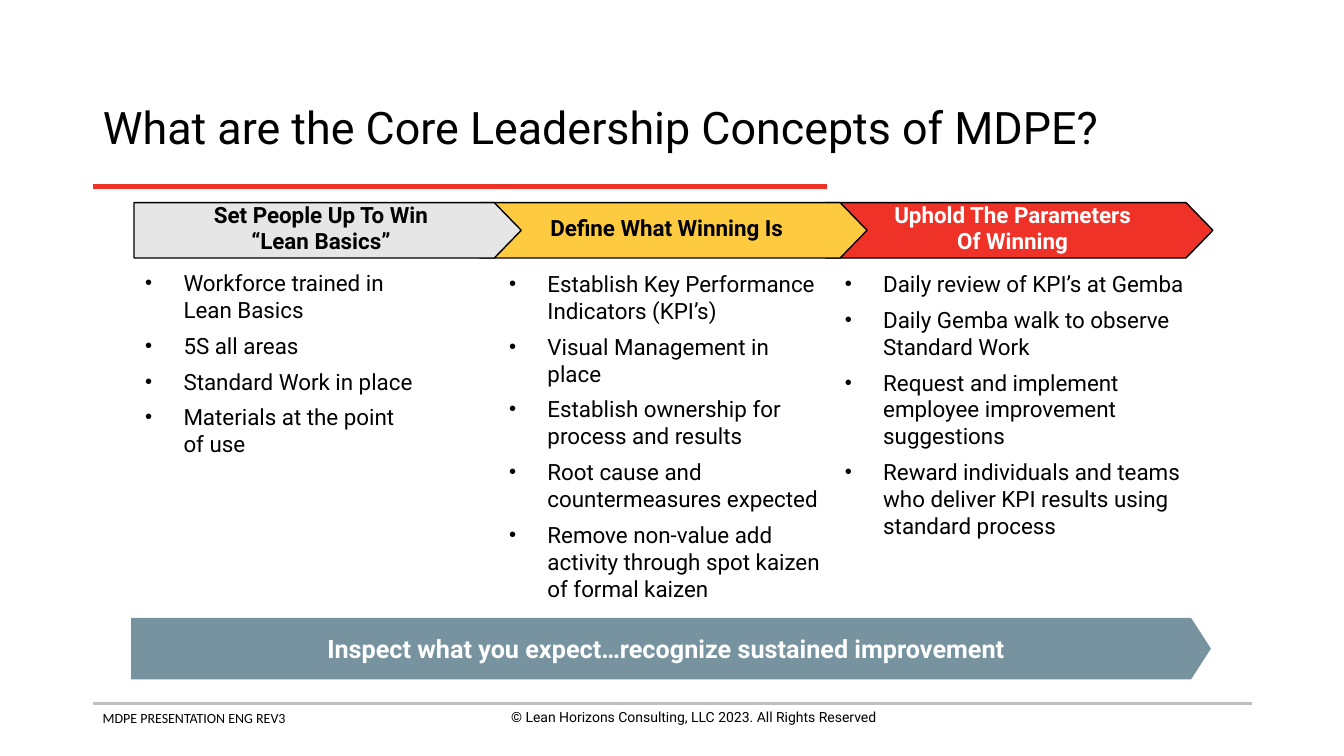
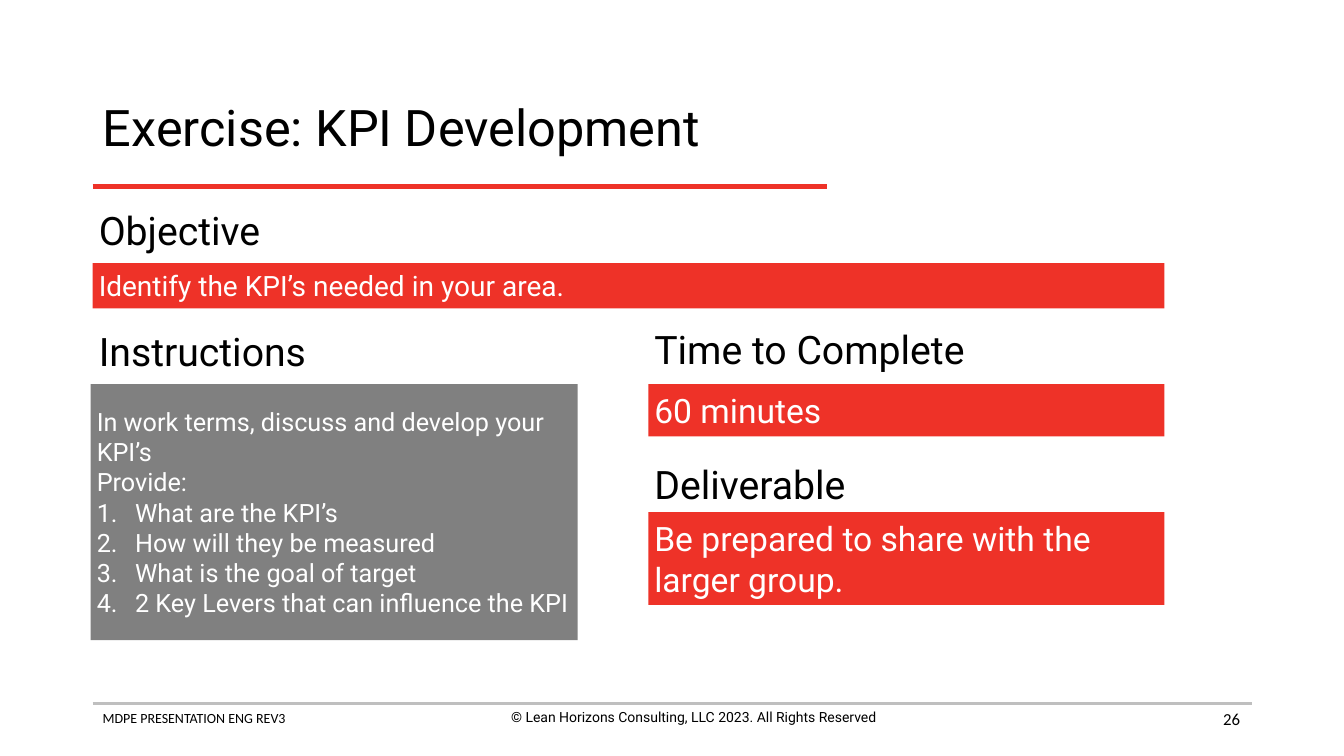
from lxml.etree import SubElement
from pptx import Presentation
from pptx.dml.color import RGBColor
from pptx.enum.shapes import MSO_CONNECTOR, MSO_SHAPE
from pptx.enum.text import MSO_ANCHOR, MSO_AUTO_SIZE, PP_ALIGN
from pptx.oxml.ns import qn
from pptx.util import Inches, Pt

BLACK, WHITE, RED, YELLOW = "000000", "FFFFFF", "EE3228", "FDCA40"
PALE, RULE, GRAY, SLATE = "E7E6E6", "BFBFBF", "808080", "76939F"
FONT, SMALL_FONT = "Roboto", "Calibri"
LEFT, RIGHT, RULE_TOP = 0.92, 12.42, 6.98
INDENT, INSET = 0.38, 0.06

FOOTER = "MDPE PRESENTATION ENG REV3"
COPYRIGHT = "© Lean Horizons Consulting, LLC 2023. All Rights Reserved"

CONCEPTS_TITLE = "What are the Core Leadership Concepts of MDPE?"
CONCEPTS = [
    {"head": ["Set People Up To Win", "“Lean Basics”"], "fill": PALE, "color": BLACK,
     "area": (1.34, 2.62, 3.55, 1.8),
     "items": ["Workforce trained in\vLean Basics", "5S all areas",
               "Standard Work in place", "Materials at the point\vof use"]},
    {"head": ["Define What Winning Is"], "fill": YELLOW, "color": BLACK,
     "area": (4.95, 2.63, 3.3, 3.4),
     "items": ["Establish Key Performance Indicators (KPI’s)",
               "Visual Management in place",
               "Establish ownership for process and results",
               "Root cause and countermeasures expected",
               "Remove non-value add activity through spot kaizen of formal kaizen"]},
    {"head": ["Uphold The Parameters", "Of Winning"], "fill": RED, "color": WHITE,
     "area": (8.28, 2.63, 3.6, 2.9),
     "items": ["Daily review of KPI’s at Gemba",
               "Daily Gemba walk to observe Standard Work",
               "Request and implement employee improvement suggestions",
               "Reward individuals and teams who deliver KPI results using standard process"]},
]
CONCLUSION = "Inspect what you expect…recognize sustained improvement"
STEP_LEFT, STEP_GAP, STEP_WIDTH = 1.33, 3.43, 3.84

EXERCISE_TITLE = "Exercise: KPI Development"
HEADINGS = [("Objective", LEFT, 1.99), ("Instructions", LEFT, 3.19),
            ("Time to Complete", 6.43, 3.17), ("Deliverable", 6.43, 4.51)]
BARS = [("Identify the KPI’s needed in your area.", (LEFT, 2.61, 10.63, 0.45), 20),
        ("60 minutes", (6.43, 3.81, 5.12, 0.52), 24),
        ("Be prepared to share with the larger group.", (6.43, 5.08, 5.12, 0.92), 24)]
INTRO = ["In work terms, discuss and develop your KPI’s", "Provide:"]
QUESTIONS = ["What are the KPI’s", "How will they be measured",
             "What is the goal of target", "2 Key Levers that can influence the KPI"]


def color(value):
    return RGBColor.from_string(value)


def set_marker(para, marker):
    props = para._p.get_or_add_pPr()
    hang = Inches(INDENT) if marker else 0
    props.set("marL", str(hang))
    props.set("indent", str(-hang))
    if marker == "bullet":
        fill = SubElement(props, qn("a:buClr"))
        SubElement(fill, qn("a:srgbClr"), val=BLACK)
        SubElement(props, qn("a:buSzPct"), val="90000")
        SubElement(props, qn("a:buFont"), typeface="Arial")
        SubElement(props, qn("a:buChar"), char="•")
    elif marker == "number":
        SubElement(props, qn("a:buFont"), typeface="+mj-lt")
        SubElement(props, qn("a:buAutoNum"), type="arabicPeriod")
    else:
        SubElement(props, qn("a:buNone"))


def write(box, lines, size, ink=BLACK, font=FONT, bold=False, align=PP_ALIGN.LEFT,
          anchor=MSO_ANCHOR.TOP, inset=None, wrap=True, spacing=1.0, gap=0, markers=None):
    frame = box.text_frame
    frame.auto_size = MSO_AUTO_SIZE.NONE
    frame.word_wrap = wrap
    frame.vertical_anchor = anchor
    if inset is not None:
        frame.margin_left = frame.margin_right = Inches(inset)
        frame.margin_top = frame.margin_bottom = Inches(inset)
    for index, line in enumerate(lines):
        para = frame.add_paragraph() if index else frame.paragraphs[0]
        set_marker(para, markers[index] if markers else None)
        para.alignment = align
        para.line_spacing = spacing
        para.space_before = Pt(gap if index else 0)
        para.space_after = Pt(0)
        for part_index, part in enumerate(line.split("\v")):
            if part_index:
                para.add_line_break()
            span = para.add_run()
            span.text = part
            span.font.name = font
            span.font.size = Pt(size)
            span.font.bold = bold
            span.font.color.rgb = color(ink)


def place(box, area):
    box.left, box.top, box.width, box.height = map(Inches, area)


def add_text(page, area, lines, size, **style):
    box = page.shapes.add_textbox(*map(Inches, area))
    write(box, lines, size, **style)


def add_block(page, kind, area, fill, outline=None, point=None):
    block = page.shapes.add_shape(kind, *map(Inches, area))
    block.shadow.inherit = False
    block.fill.solid()
    block.fill.fore_color.rgb = color(fill)
    if outline:
        block.line.color.rgb = color(outline)
        block.line.width = Pt(1)
    else:
        block.line.fill.background()
    if point is not None:
        block.adjustments[0] = point
    return block


def add_rule(page, right, top, ink, width):
    rule = page.shapes.add_connector(
        MSO_CONNECTOR.STRAIGHT, Inches(LEFT), Inches(top), Inches(right), Inches(top))
    rule.line.color.rgb = color(ink)
    rule.line.width = Pt(width)
    SubElement(rule._element.spPr, qn("a:effectLst"))


def add_page(deck, layout, title, size):
    page = deck.slides.add_slide(deck.slide_layouts.get_by_name(layout))
    add_rule(page, RIGHT, RULE_TOP, RULE, 2)
    add_text(page, (LEFT, 6.99, 4.56, 0.44), [FOOTER], 10, font=SMALL_FONT)
    add_text(page, (4.6, RULE_TOP, 4.56, 0.44), [COPYRIGHT], 10, align=PP_ALIGN.CENTER)
    add_rule(page, 8.2, 1.85, RED, 3)
    place(page.shapes.title, (LEFT, 0.74, RIGHT - LEFT, 1.1))
    write(page.shapes.title, [title], size, anchor=MSO_ANCHOR.MIDDLE, spacing=0.9)
    return page


def build_concepts(deck):
    page = add_page(deck, "Comparison", CONCEPTS_TITLE, 32)
    bodies = [box for box in page.placeholders if box.placeholder_format.idx]
    for column, concept in reversed(list(enumerate(CONCEPTS))):
        area = (STEP_LEFT + column * STEP_GAP, 2.01, STEP_WIDTH, 0.55)
        step = add_block(page, MSO_SHAPE.PENTAGON, area, concept["fill"], BLACK, 0.486)
        write(step, concept["head"], 16, ink=concept["color"], bold=True, wrap=False,
              align=PP_ALIGN.CENTER, anchor=MSO_ANCHOR.MIDDLE, spacing=0.8, gap=3.2)
    for body, concept in zip(bodies, CONCEPTS):
        place(body, concept["area"])
        items = concept["items"]
        write(body, items, 16, gap=6.4, markers=["bullet"] * len(items))
    for spare in bodies[len(CONCEPTS):]:
        spare._element.getparent().remove(spare._element)
    banner = add_block(page, MSO_SHAPE.PENTAGON, (1.3, 6.13, 10.71, 0.61), SLATE, point=0.322)
    write(banner, [CONCLUSION], 18, ink=WHITE, bold=True, wrap=False,
          align=PP_ALIGN.CENTER, anchor=MSO_ANCHOR.MIDDLE)


def build_exercise(deck):
    page = add_page(deck, "Title and Content", EXERCISE_TITLE, 36)
    add_text(page, (9.4, 6.93, 3, 0.4), ["26"], 12, font=SMALL_FONT,
             align=PP_ALIGN.RIGHT, anchor=MSO_ANCHOR.MIDDLE)
    for heading, left, top in HEADINGS:
        add_text(page, (left, top, 3.25, 0.58), [heading], 28, inset=INSET)
    for text, area, size in BARS:
        bar = add_block(page, MSO_SHAPE.RECTANGLE, area, RED)
        write(bar, [text], size, ink=WHITE, anchor=MSO_ANCHOR.MIDDLE, inset=INSET)
    body = page.placeholders[1]
    place(body, (0.9, 3.81, 4.83, 2.54))
    body.fill.solid()
    body.fill.fore_color.rgb = color(GRAY)
    write(body, INTRO + QUESTIONS, 18, ink=WHITE, anchor=MSO_ANCHOR.MIDDLE, inset=INSET,
          markers=[None] * len(INTRO) + ["number"] * len(QUESTIONS))


def main():
    deck = Presentation()
    deck.slide_width, deck.slide_height = Inches(13.33), Inches(7.5)
    build_concepts(deck)
    build_exercise(deck)
    deck.save("out.pptx")


if __name__ == "__main__":
    main()
